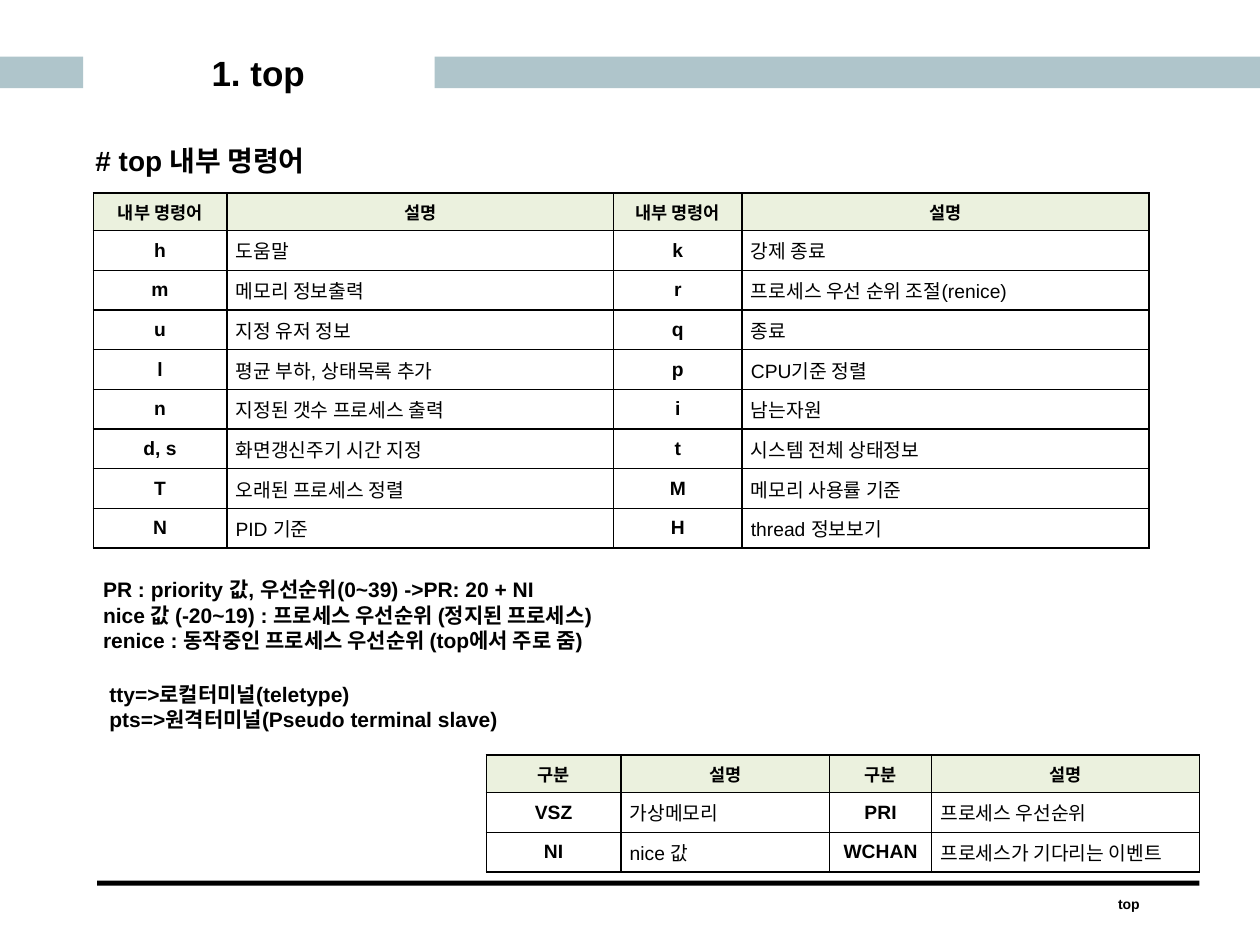
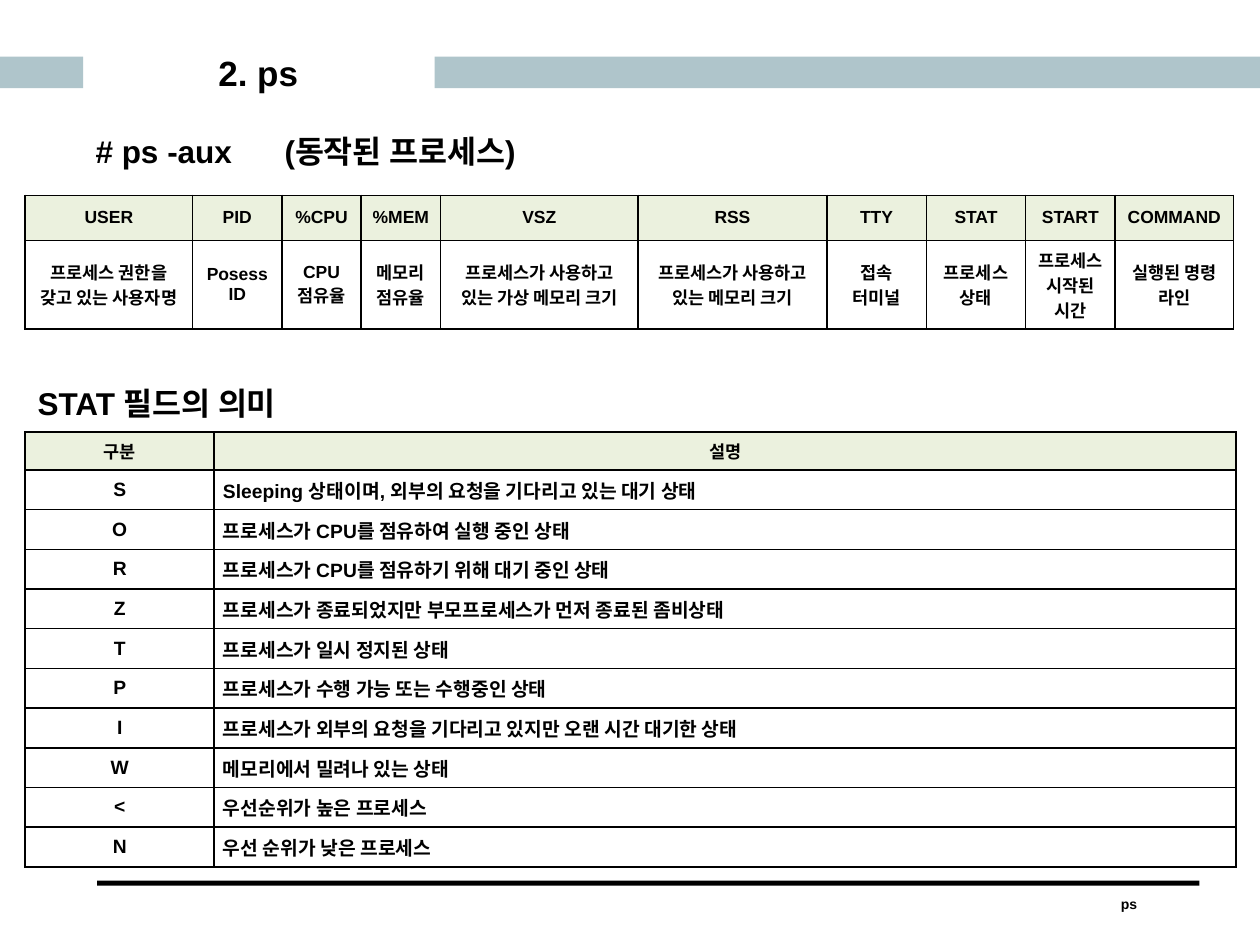
from collections import namedtuple

from lxml.etree import SubElement
from pptx import Presentation
from pptx.dml.color import RGBColor
from pptx.enum.shapes import MSO_SHAPE
from pptx.enum.text import MSO_ANCHOR, MSO_AUTO_SIZE, PP_ALIGN
from pptx.oxml.ns import qn
from pptx.util import Inches, Pt

Box = namedtuple("Box", "left top width height")

COLUMNS, ROWS = 100, 75
SLIDE_WIDTH, SLIDE_HEIGHT = Inches(10), Inches(7.5)
TITLE_ONLY = 5
FONT = "Arial"
BLACK, BAND, HEADER = "000000", "AFC5CB", "EBF1DE"

PAGE_BOX = Box(0, 0, COLUMNS, ROWS)
TITLE_BOX = Box(7.5, 3.6, 26, 4.3)
TITLE_FORMAT = {
    "margin_left": Inches(0.09),
    "margin_right": Inches(0.09),
    "margin_top": Inches(0.04),
    "margin_bottom": Inches(0.04),
    "vertical_anchor": MSO_ANCHOR.MIDDLE,
    "auto_size": MSO_AUTO_SIZE.NONE,
    "word_wrap": True,
}
TEXT_FORMAT = {"word_wrap": True, "auto_size": MSO_AUTO_SIZE.SHAPE_TO_FIT_TEXT}
CELL_FORMAT = {
    "margin_left": Inches(0.07),
    "margin_right": Inches(0.07),
    "margin_top": 0,
    "margin_bottom": 0,
    "vertical_anchor": MSO_ANCHOR.MIDDLE,
}
TABLE_FORMAT = {"first_row": False, "horz_banding": False}

COMMANDS = [
    ("내부 명령어", "설명", "내부 명령어", "설명"),
    ("h", "도움말", "k", "강제 종료"),
    ("m", "메모리 정보출력", "r", "프로세스 우선 순위 조절(renice)"),
    ("u", "지정 유저 정보", "q", "종료"),
    ("l", "평균 부하, 상태목록 추가", "p", "CPU기준 정렬"),
    ("n", "지정된 갯수 프로세스 출력", "i", "남는자원"),
    ("d, s", "화면갱신주기 시간 지정", "t", "시스템 전체 상태정보"),
    ("T", "오래된 프로세스 정렬", "M", "메모리 사용률 기준"),
    ("N", "PID 기준", "H", "thread 정보보기"),
]
FIELDS = [
    ("구분", "설명", "구분", "설명"),
    ("VSZ", "가상메모리", "PRI", "프로세스 우선순위"),
    ("NI", "nice 값", "WCHAN", "프로세스가 기다리는 이벤트"),
]
PRIORITY_NOTES = [
    "PR : priority 값, 우선순위(0~39) ->PR: 20 + NI",
    "nice 값 (-20~19) : 프로세스 우선순위 (정지된 프로세스)",
    "renice : 동작중인 프로세스 우선순위 (top에서 주로 줌)",
]
TERMINAL_NOTES = [
    "tty=>로컬터미널(teletype)",
    "pts=>원격터미널(Pseudo terminal slave)",
]
PROCESS_COLUMNS = [
    ("USER", "PID", "%CPU", "%MEM", "VSZ", "RSS", "TTY", "STAT", "START", "COMMAND"),
    (
        "프로세스 권한을 갖고 있는 사용자명",
        "Posess ID",
        "CPU\n점유율",
        "메모리\n점유율",
        "프로세스가 사용하고 있는 가상 메모리 크기",
        "프로세스가 사용하고 있는 메모리 크기",
        "접속 터미널",
        "프로세스 상태",
        "프로세스 시작된 시간",
        "실행된 명령 라인",
    ),
]
STATES = [
    ("구분", "설명"),
    ("S", "Sleeping 상태이며, 외부의 요청을 기다리고 있는 대기 상태"),
    ("O", "프로세스가 CPU를 점유하여 실행 중인 상태"),
    ("R", "프로세스가 CPU를 점유하기 위해 대기 중인 상태"),
    ("Z", "프로세스가 종료되었지만 부모프로세스가 먼저 종료된 좀비상태"),
    ("T", "프로세스가 일시 정지된 상태"),
    ("P", "프로세스가 수행 가능 또는 수행중인 상태"),
    ("I", "프로세스가 외부의 요청을 기다리고 있지만 오랜 시간 대기한 상태"),
    ("W", "메모리에서 밀려나 있는 상태"),
    ("<", "우선순위가 높은 프로세스"),
    ("N", "우선 순위가 낮은 프로세스"),
]


def color(value):
    """Turn a hex string into a colour."""
    return RGBColor.from_string(value)


def across(columns):
    """Turn grid columns into a length."""
    return round(SLIDE_WIDTH * columns / COLUMNS)


def down(rows):
    """Turn grid rows into a length."""
    return round(SLIDE_HEIGHT * rows / ROWS)


def frame(box):
    """Turn a grid box into left, top, width and height."""
    return across(box.left), down(box.top), across(box.width), down(box.height)


def inside(box, left, top, width, height):
    """Give a box placed relative to another box."""
    return Box(box.left + left, box.top + top, width, height)


def apply(target, values):
    """Set every attribute named in a dict."""
    for name, value in values.items():
        setattr(target, name, value)


def write(text_frame, lines, size, align=PP_ALIGN.LEFT, bold=True):
    """Write one formatted paragraph for each line."""
    for index, line in enumerate(lines):
        para = text_frame.add_paragraph() if index else text_frame.paragraphs[0]
        para.alignment = align
        span = para.add_run()
        span.text = line
        apply(span.font, {"name": FONT, "size": Pt(size), "bold": bold})
        span.font.color.rgb = color(BLACK)


def add_text(page, box, lines, size, align=PP_ALIGN.LEFT, wrap=True):
    """Place a text box."""
    text_frame = page.shapes.add_textbox(*frame(box)).text_frame
    apply(text_frame, TEXT_FORMAT | {"word_wrap": wrap})
    write(text_frame, lines, size, align)


def add_bar(page, box, fill):
    """Place a plain filled rectangle."""
    bar = page.shapes.add_shape(MSO_SHAPE.RECTANGLE, *frame(box))
    bar.shadow.inherit = False
    bar.fill.solid()
    bar.fill.fore_color.rgb = color(fill)
    bar.line.fill.background()


def add_borders(cell):
    """Draw a thin black line on each side of a cell."""
    properties = cell._tc.get_or_add_tcPr()
    for side in ("a:lnL", "a:lnR", "a:lnT", "a:lnB"):
        line = SubElement(properties, qn(side), w=str(Pt(1)))
        fill = SubElement(line, qn("a:solidFill"))
        SubElement(fill, qn("a:srgbClr"), val=BLACK)


def fill_cell(cell, text, size, align, bold, header):
    """Format one table cell and write its text."""
    apply(cell, CELL_FORMAT)
    add_borders(cell)
    if header:
        cell.fill.solid()
        cell.fill.fore_color.rgb = color(HEADER)
    else:
        cell.fill.background()
    write(cell.text_frame, text.split("\n"), size, align, bold)


def add_grid(page, box, records, widths, header=3, size=11, pairs=True, bold=False):
    """Place a table whose body rows share the height below the header."""
    table = page.shapes.add_table(len(records), len(widths), *frame(box)).table
    apply(table, TABLE_FORMAT)
    for column, width in zip(table.columns, widths):
        column.width = across(box.width * width / sum(widths))
    body = (box.height - header) / (len(records) - 1)
    for row, record in enumerate(records):
        table.rows[row].height = down(body if row else header)
        for column, text in enumerate(record):
            meaning = pairs and row > 0 and column % 2 == 1
            fill_cell(
                table.cell(row, column),
                text,
                size if row else 10,
                PP_ALIGN.JUSTIFY if meaning else PP_ALIGN.CENTER,
                bold or not meaning,
                row == 0,
            )


def add_page(deck, title, footer, box=PAGE_BOX):
    """Add a slide with its title, bands, rule and footer."""
    page = deck.slides.add_slide(deck.slide_layouts[TITLE_ONLY])
    add_bar(page, inside(box, 0, 4.5, 6.6, 2.5), BAND)
    add_bar(page, inside(box, 34.5, 4.5, 65.5, 2.5), BAND)
    add_bar(page, inside(box, 7.7, 69.9, 87.5, 0.4), BLACK)
    add_text(page, inside(box, 83.9, 70.6, 11.4, 2.4), [footer], 8, PP_ALIGN.CENTER)
    heading = page.shapes.title
    places = zip(("left", "top", "width", "height"), frame(TITLE_BOX))
    apply(heading, dict(places))
    apply(heading.text_frame, TITLE_FORMAT)
    write(heading.text_frame, [title], 20, PP_ALIGN.CENTER)
    return page


def build_top(deck, box=PAGE_BOX):
    """Build the slide on the top command."""
    page = add_page(deck, "1. top", "top", box)
    add_text(page, inside(box, 6.6, 10.9, 21.4, 3.7), ["# top 내부 명령어"], 16, wrap=False)
    add_grid(page, inside(box, 7.4, 15.3, 83.8, 28.2), COMMANDS, (106, 307, 102, 323))
    add_text(page, inside(box, 7.2, 45.3, 78, 7.1), PRIORITY_NOTES, 12)
    add_text(page, inside(box, 7.7, 53.6, 89.1, 5), TERMINAL_NOTES, 12)
    add_grid(page, inside(box, 38.6, 59.9, 56.6, 9.3), FIELDS, (107, 166, 81, 213))


def build_ps(deck, box=PAGE_BOX):
    """Build the slide on the ps command."""
    page = add_page(deck, "2. ps", "ps", box)
    add_text(page, inside(box, 6.6, 10, 48.2, 4), ["# ps -aux\t(동작된 프로세스)"], 18)
    add_grid(
        page,
        inside(box, 2, 15.5, 95.9, 10.6),
        PROCESS_COLUMNS,
        (133, 71, 63, 63, 157, 150, 79, 79, 71, 94),
        header=3.6,
        size=10,
        pairs=False,
    )
    add_grid(page, inside(box, 2, 34.3, 96.1, 34.5), STATES, (150, 811), bold=True)
    add_text(page, inside(box, 2, 30, 50.5, 4), ["STAT 필드의 의미"], 18)


def main():
    """Build and save the deck."""
    deck = Presentation()
    apply(deck, {"slide_width": SLIDE_WIDTH, "slide_height": SLIDE_HEIGHT})
    build_top(deck)
    build_ps(deck)
    deck.save("out.pptx")


main()
